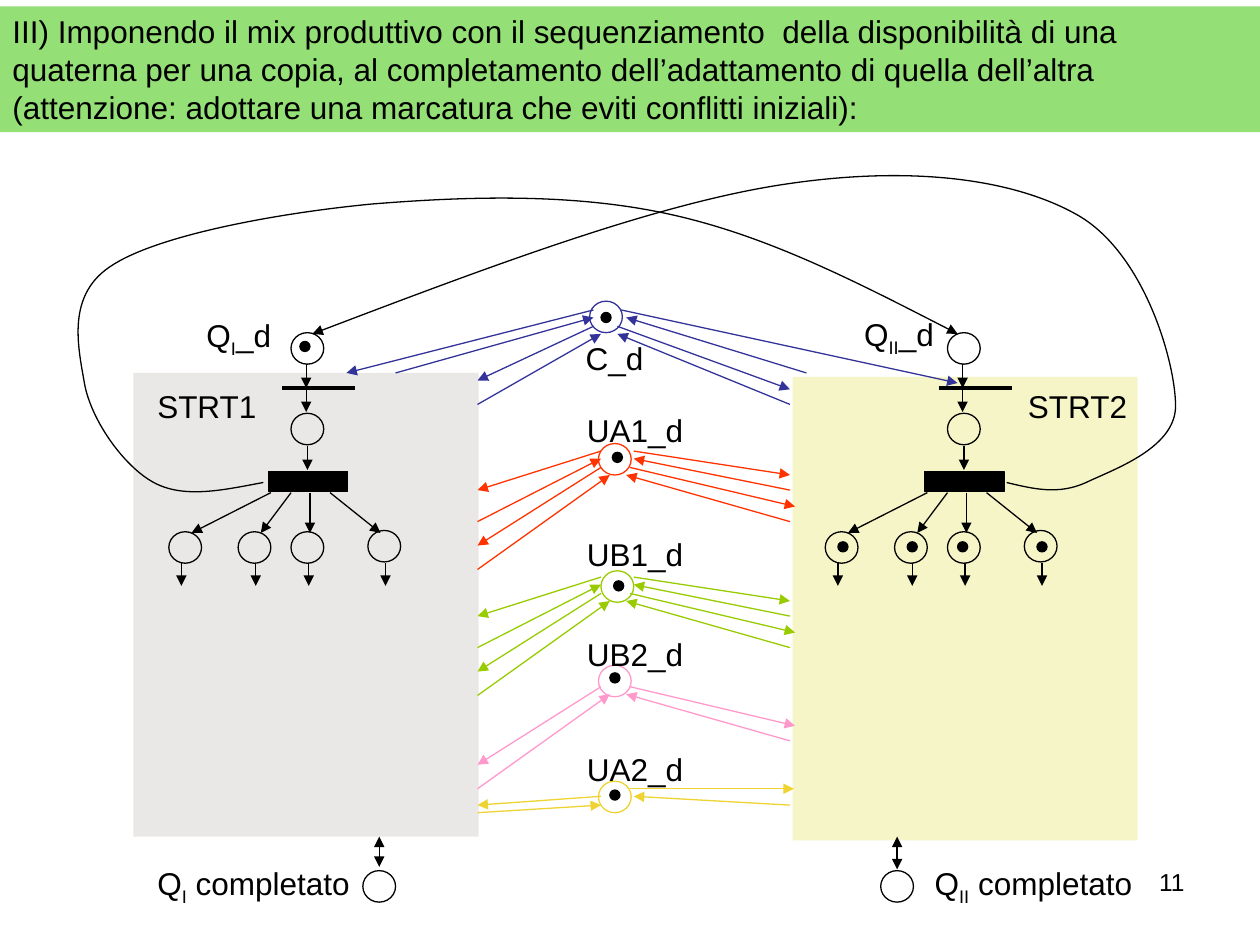
import pptx
import pptx.util
import pptx.dml.color
import pptx.enum.shapes
import pptx.enum.text
import pptx.oxml
import pptx.oxml.ns

THEME = {
    "font": "Arial", "body": 18, "small": 14, "thin": 0.75, "thick": 2.25,
    "ink": "000000", "band": "94E076", "grey": "EAE8E6", "cream": "F5F5C7",
    "blue": "333399", "red": "FF3300", "green": "99CC00",
    "pink": "FF99CC", "gold": "EED332",
}

TITLE = ("III) Imponendo il mix produttivo con il sequenziamento  della disponibilità "
         "di una quaterna per una copia, al completamento dell’adattamento di quella "
         "dell’altra (attenzione: adottare una marcatura che eviti conflitti iniziali):")

LABELS = [
    (["C_d"], 4.55, 2.64, 0.66), (["UA1_d"], 4.56, 3.21, 0.97),
    (["UB1_d"], 4.56, 4.20, 0.97), (["UB2_d"], 4.56, 4.99, 0.97),
    (["UA2_d"], 4.56, 5.90, 0.97), (["STRT1"], 1.15, 3.02, 0.99),
    (["STRT2"], 8.06, 3.02, 0.99),
    (["Q", "I", "_d"], 1.54, 2.46, 0.71), (["Q", "II", "_d"], 6.76, 2.45, 0.75),
    (["Q", "I", " completato"], 1.15, 6.81, 1.73),
    (["Q", "II", " completato"], 7.32, 6.81, 1.77),
]

OUTER = [
    (4.77, 0, 3.79, 0.31), (3.79, 0.56, 4.77, 0.06),
    (5.03, 0, 6.27, 0.19), (6.27, 0.31, 5.03, 0.06),
]
INNER = [
    (4.77, 0.13, 3.79, 0.75), (3.79, 0.94, 4.84, 0.19),
    (5.00, 0.13, 6.31, 0.44), (6.27, 0.56, 4.97, 0.19),
]
SHARED = [
    (4.71, 0, 2.75, 0.50), (3.14, 0.50, 4.71, 0.06),
    (4.71, 0.13, 3.79, 0.56), (3.79, 0.75, 4.77, 0.19),
    (4.93, 0, 7.60, 0.58), (6.40, 0.50, 4.97, 0.06),
    (4.90, 0.13, 6.27, 0.63), (6.27, 0.75, 4.90, 0.19),
]
FLAT = [
    (5.00, 0, 6.30, 0), (6.27, 0.13, 5.03, 0.06),
    (4.77, 0.06, 3.79, 0.13), (3.79, 0.19, 4.77, 0.13),
]

PLACES = [
    ("blue", (4.68, 2.39), (4.77, 2.48), 2.46, SHARED),
    ("red", (4.75, 3.52), (4.86, 3.59), 3.58, OUTER + INNER),
    ("green", (4.77, 4.53), (4.87, 4.61), 4.58, OUTER + INNER),
    ("pink", (4.75, 5.28), (4.84, 5.34), 5.32, INNER),
    ("gold", (4.75, 6.20), (4.84, 6.27), 6.26, FLAT),
]

SHIFT = 5.21
RINGS = [(2.31, 2.64), (2.31, 3.28), (1.34, 4.22), (1.89, 4.22), (2.31, 4.22), (2.92, 4.21)]
ARROWS = [
    (2.43, 2.89, 2.43, 3.08), (2.43, 3.08, 2.43, 3.27), (2.44, 3.54, 2.44, 3.73),
    (2.15, 3.91, 1.52, 4.23), (2.31, 3.91, 2.07, 4.23),
    (2.46, 3.91, 2.46, 4.23), (2.62, 3.91, 3.02, 4.23),
] + [(x, 4.47, x, 4.65) for x in (1.44, 2.03, 2.45, 3.06)]
TOKENS = [(2.38, 2.71)] + [(x, 4.30) for x in (6.65, 7.20, 7.60, 8.23)]
ENDS = [(2.88, 3.01, 6.88), (6.99, 7.12, 6.90)]

CURVES = [
    [(2.09, 3.83), (1.77, 3.89), (1.46, 3.96), (1.22, 3.83),
     (0.98, 3.70), (0.72, 3.33), (0.67, 3.04),
     (0.62, 2.75), (0.52, 2.33), (0.90, 2.10),
     (1.28, 1.86), (2.22, 1.69), (2.95, 1.62),
     (3.69, 1.56), (4.54, 1.53), (5.31, 1.70),
     (6.09, 1.87), (6.84, 2.26), (7.60, 2.65)],
    [(7.99, 3.83), (8.20, 3.88), (8.40, 3.93), (8.62, 3.83),
     (8.85, 3.72), (9.35, 3.55), (9.33, 3.20),
     (9.32, 2.84), (9.07, 1.99), (8.54, 1.70),
     (8.02, 1.41), (7.19, 1.31), (6.18, 1.47),
     (5.17, 1.63), (3.82, 2.14), (2.48, 2.65)],
]

KIND = pptx.enum.shapes.MSO_SHAPE
TEXT = pptx.enum.text
qn = pptx.oxml.ns.qn


def size(*vals):
    return [pptx.util.Cm(v * 2.54) for v in vals]


def tint(name):
    return pptx.dml.color.RGBColor.from_string(THEME[name])


def node(tag, **attrs):
    item = pptx.oxml.parse_xml(f"<{tag} {pptx.oxml.ns.nsdecls('a')}/>")
    for key, val in attrs.items():
        item.set(key, val)
    return item


def stroke(item, color, width="thin", tips=()):
    item.line.color.rgb = tint(color)
    item.line.width = pptx.util.Pt(THEME[width])
    edge = item._element.spPr.find(qn("a:ln"))
    for tip in tips:
        edge.append(node(f"a:{tip}", type="triangle"))


def block(kind, box, fill=None, line=None):
    item = slide.shapes.add_shape(kind, *size(*box))
    item.shadow.inherit = False
    if fill:
        item.fill.solid()
        item.fill.fore_color.rgb = tint(fill)
    else:
        item.fill.background()
    if line:
        stroke(item, line)
    else:
        item.line.fill.background()
    return item


def ring(x, y, color="ink"):
    block(KIND.OVAL, (x, y, 0.26, 0.25), line=color)


def token(x, y):
    block(KIND.OVAL, (x, y, 0.08, 0.08), "ink", "ink")


def link(ends, color="ink", width="thin", tips=("tailEnd",)):
    item = slide.shapes.add_connector(pptx.enum.shapes.MSO_CONNECTOR.STRAIGHT, *size(*ends))
    stroke(item, color, width, tips)
    item._element.spPr.append(node("a:effectLst"))


def curve(points):
    start, *rest = [size(*p) for p in points]
    maker = slide.shapes.build_freeform(*start)
    maker.add_line_segments(rest, close=False)
    item = maker.convert_to_shape()
    item.shadow.inherit = False
    item.fill.background()
    stroke(item, "ink", tips=("tailEnd",))
    track = next(item._element.iter(qn("a:path")))
    steps = track.findall(qn("a:lnTo"))
    for i in range(0, len(steps), 3):
        bend = node("a:cubicBezTo")
        for step in steps[i:i + 3]:
            bend.append(step[0])
            track.remove(step)
        track.append(bend)


def write(item, parts, points="body", wrap=False, align="LEFT"):
    frame = item.text_frame
    frame.word_wrap = wrap
    if not wrap:
        frame.auto_size = TEXT.MSO_AUTO_SIZE.SHAPE_TO_FIT_TEXT
    frame.vertical_anchor = TEXT.MSO_ANCHOR.TOP
    para = frame.paragraphs[0]
    para.alignment = TEXT.PP_ALIGN[align]
    para.font.name = THEME["font"]
    para.font.size = pptx.util.Pt(THEME[points])
    para.font.color.rgb = tint("ink")
    for i, part in enumerate(parts):
        run = para.add_run()
        run.text = part
        if i == 1:
            run._r.get_or_add_rPr().set("baseline", "-25000")


def label(parts, x, y, wide, high=0.4, **style):
    write(slide.shapes.add_textbox(*size(x, y, wide, high)), parts, **style)


deck = pptx.Presentation()
deck.slide_width, deck.slide_height = size(10, 7.5)
slide = deck.slides.add_slide(deck.slide_layouts[6])

write(block(KIND.RECTANGLE, (0, 0.05, 10, 1), "band"), [TITLE], wrap=True)
block(KIND.RECTANGLE, (6.29, 2.99, 2.74, 3.68), "cream")
block(KIND.RECTANGLE, (1.06, 2.96, 2.74, 3.68), "grey")

for dx in (0, SHIFT):
    for x, y in RINGS:
        ring(x + dx, y)
    link((2.24 + dx, 3.08, 2.82 + dx, 3.08), width="thick", tips=())
    block(KIND.RECTANGLE, (2.13 + dx, 3.74, 0.63, 0.16), "ink", "ink")
    for x1, y1, x2, y2 in ARROWS:
        link((x1 + dx, y1, x2 + dx, y2))

for color, spot, mark, top, fan in PLACES:
    ring(*spot, color)
    for x1, y1, x2, y2 in fan:
        link((x1, top + y1, x2, top + y2), color)
    token(*mark)

for spot in TOKENS:
    token(*spot)
for left, mid, low in ENDS:
    ring(left, 6.91)
    link((mid, 6.64, mid, low), tips=("headEnd", "tailEnd"))
for points in CURVES:
    curve(points)
for entry in LABELS:
    label(*entry)
label(["11"], 7.17, 6.83, 2.33, 0.52, points="small", wrap=True, align="RIGHT")

deck.save("out.pptx")
